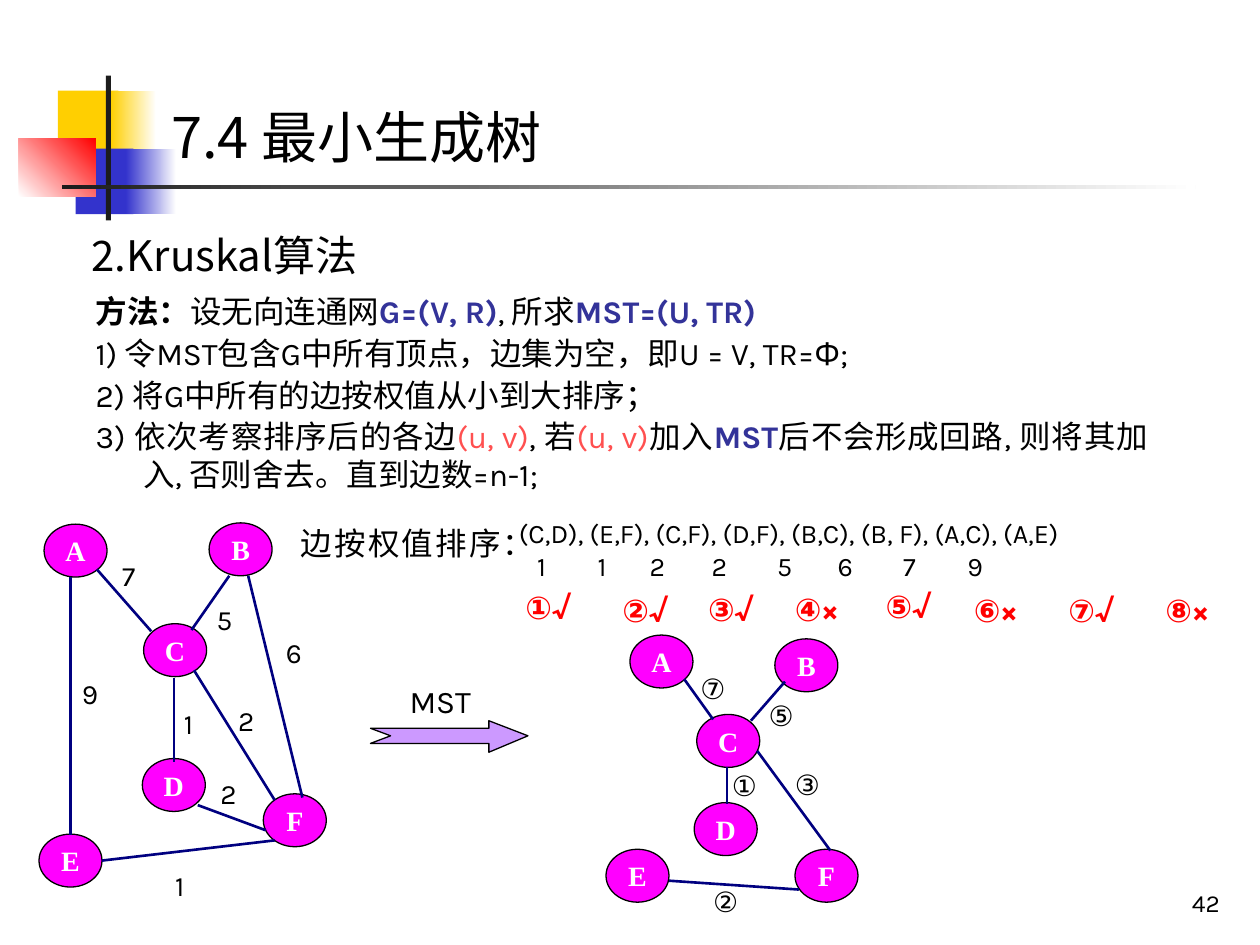
from dataclasses import dataclass
from typing import NamedTuple, Optional

import pptx
import pptx.dml.color
import pptx.enum.shapes
import pptx.enum.text
import pptx.oxml.ns
import pptx.util
from lxml import etree
from pptx.util import Inches

ALIGN = pptx.enum.text.PP_ALIGN
ANCHOR = pptx.enum.text.MSO_ANCHOR
SHAPE = pptx.enum.shapes.MSO_SHAPE
qn = pptx.oxml.ns.qn


@dataclass(frozen=True)
class Theme:
    black: str = "000000"
    white: str = "FFFFFF"
    yellow: str = "FFCF01"
    blue: str = "3333CC"
    red: str = "FF0000"
    dark: str = "1C1C1C"
    node: str = "FF00FF"
    edge: str = "000080"
    arrow: str = "CC99FF"
    strong: str = "333399"
    pair: str = "FF5050"
    latin: str = "Karla"
    chinese: str = "Noto Sans CJK SC"
    title_font: str = "Noto Sans CJK JP"
    node_font: str = "Times New Roman"
    title: float = 32
    heading: float = 24
    body: float = 18
    label: float = 16
    edge_list: float = 15.3
    page: float = 14


T = Theme()


class Run(NamedTuple):
    text: str
    color: str = T.black
    bold: bool = False


class Block(NamedTuple):
    x: float
    y: float
    w: float
    h: float
    start: str
    end: Optional[str] = None
    angle: float = 0


class Node(NamedTuple):
    name: str
    x: float
    y: float


class Edge(NamedTuple):
    x1: float
    y1: float
    x2: float
    y2: float
    label: str
    label_x: float
    label_y: float


BLOCKS = [
    Block(0.46, 0.72, 0.48, 0.52, T.yellow),
    Block(0.88, 0.72, 0.36, 0.52, T.yellow, T.white),
    Block(0.6, 1.18, 0.46, 0.52, T.blue),
    Block(1, 1.18, 0.4, 0.52, T.blue, T.white),
    Block(0.15, 1.1, 0.61, 0.46, T.white, T.red, 45),
    Block(0.84, 0.6, 0.04, 1.15, T.dark),
    Block(0.49, 1.47, 9, 0.03, T.dark, T.white),
]
METHOD = [
    [Run("方法：", bold=True), Run("设无向连通网"), Run("G=(V, R)", T.strong, True),
     Run(", 所求"), Run("MST=(U, TR)", T.strong, True)],
    [Run("1) 令MST包含G中所有顶点，边集为空，即U = V, TR=Φ;")],
    [Run("2) 将G中所有的边按权值从小到大排序；")],
    [Run("3) 依次考察排序后的各边"), Run("(u, v)", T.pair), Run(", 若"), Run("(u, v)", T.pair),
     Run("加入"), Run("MST", T.strong, True),
     Run("后不会形成回路, 则将其加入, 否则舍去。直到边数=n-1;")],
]
GRAPH_NODES = [Node("A", 0.35, 4.16), Node("B", 1.66, 4.15), Node("C", 1.14, 4.95),
               Node("D", 1.13, 6.02), Node("E", 0.31, 6.62), Node("F", 2.09, 6.3)]
GRAPH_EDGES = [
    Edge(0.56, 4.58, 0.56, 6.63, "9", 0.65, 5.37),
    Edge(1.52, 5, 1.82, 4.57, "5", 1.72, 4.78),
    Edge(0.77, 4.52, 1.2, 5.01, "7", 0.97, 4.43),
    Edge(1.38, 5.38, 1.38, 6.05, "1", 1.46, 5.61),
    Edge(1.97, 4.57, 2.4, 6.33, "6", 2.27, 5.04),
    Edge(1.54, 5.32, 2.18, 6.35, "2", 1.89, 5.58),
    Edge(1.57, 6.39, 2.11, 6.59, "2", 1.75, 6.16),
    Edge(0.81, 6.83, 2.18, 6.67, "1", 1.39, 6.89),
]
TREE_NODES = [Node("A", 5, 5.04), Node("B", 6.15, 5.07), Node("C", 5.53, 5.67),
              Node("D", 5.51, 6.37), Node("E", 4.81, 6.74), Node("F", 6.31, 6.74)]
TREE_EDGES = [
    Edge(5.77, 6.09, 5.77, 6.38, "①", 5.81, 6.1),
    Edge(5.31, 6.99, 6.34, 7.06, "②", 5.66, 7.02),
    Edge(6.01, 5.96, 6.59, 6.75, "③", 6.31, 6.09),
    Edge(5.96, 5.72, 6.23, 5.41, "⑤", 6.1, 5.54),
    Edge(5.43, 5.39, 5.66, 5.71, "⑦", 5.56, 5.33),
]
WEIGHTS = "11225679"
WEIGHT_TABS = [0.18, 0.66, 1.1, 1.59, 2.11, 2.59, 3.1, 3.62]
CHECKS = [("①√", 4.17, 4.67), ("②√", 4.94, 4.69), ("③√", 5.62, 4.68), ("④×", 6.31, 4.68),
          ("⑤√", 7.03, 4.66), ("⑥×", 7.73, 4.69), ("⑦√", 8.48, 4.69), ("⑧×", 9.25, 4.69)]
ARROW = [(2.94, 5.78), (3.88, 5.78), (3.88, 5.72), (4.19, 5.84),
         (3.88, 5.97), (3.88, 5.9), (2.94, 5.9), (3.1, 5.84)]


def rgb(color: str):
    return pptx.dml.color.RGBColor.from_string(color)


def add_runs(p, runs: list[Run], size: float, font: str = T.latin, ea: str = T.chinese) -> None:
    for run in runs:
        r = p.add_run()
        r.text = run.text
        r.font.size = pptx.util.Pt(size)
        r.font.name = font
        r.font.bold = run.bold
        r.font.color.rgb = rgb(run.color)
        etree.SubElement(r.font._element, qn("a:ea"), typeface=ea)


def place(sp, x: float, y: float, w: float, h: float) -> None:
    sp.left, sp.top, sp.width, sp.height = Inches(x), Inches(y), Inches(w), Inches(h)


def prepare_frame(tf, anchor=ANCHOR.TOP, inset: bool = True) -> None:
    tf.word_wrap = True
    tf.auto_size = pptx.enum.text.MSO_AUTO_SIZE.NONE
    tf.vertical_anchor = anchor
    tf.margin_left = tf.margin_right = Inches(0.1 if inset else 0)
    tf.margin_top = tf.margin_bottom = Inches(0.05 if inset else 0)


def add_text(slide, x: float, y: float, w: float, h: float, run: Run, size: float,
             anchor=ANCHOR.TOP, inset: bool = True):
    """Add a one-run text box and return its paragraph."""
    tf = slide.shapes.add_textbox(Inches(x), Inches(y), Inches(w), Inches(h)).text_frame
    prepare_frame(tf, anchor, inset)
    p = tf.paragraphs[0]
    add_runs(p, [run], size)
    return p


def add_label(slide, x: float, y: float, w: float, run: Run, size: float = T.label) -> None:
    add_text(slide, x, y, w, size / 60, run, size, ANCHOR.BOTTOM, False)


def hang(p) -> None:
    p.alignment = ALIGN.JUSTIFY
    pPr = p._p.get_or_add_pPr()
    pPr.set("marL", str(Inches(0.38)))
    pPr.set("indent", str(-Inches(0.38)))


def add_block(slide, block: Block) -> None:
    sp = slide.shapes.add_shape(SHAPE.RECTANGLE, 0, 0, 0, 0)
    place(sp, block.x, block.y, block.w, block.h)
    sp.shadow.inherit = False
    sp.line.fill.background()
    if block.end is None:
        sp.fill.solid()
        sp.fill.fore_color.rgb = rgb(block.start)
        return
    sp.fill.gradient()
    sp.fill.gradient_angle = block.angle
    for stop, color in zip(sp.fill.gradient_stops, (block.start, block.end)):
        stop.color.rgb = rgb(color)


def outline(sp, fill: str) -> None:
    sp.shadow.inherit = False
    sp.fill.solid()
    sp.fill.fore_color.rgb = rgb(fill)
    sp.line.color.rgb = rgb(T.black)
    sp.line.width = pptx.util.Pt(0.75)


def add_graph(slide, nodes: list[Node], edges: list[Edge], label_width: float) -> None:
    for node in nodes:
        sp = slide.shapes.add_shape(SHAPE.OVAL, 0, 0, 0, 0)
        place(sp, node.x, node.y, 0.5, 0.42)
        outline(sp, T.node)
        prepare_frame(sp.text_frame, ANCHOR.MIDDLE)
        sp.text_frame.word_wrap = False
        p = sp.text_frame.paragraphs[0]
        p.alignment = ALIGN.CENTER
        add_runs(p, [Run(node.name, T.white, True)], T.label, T.node_font)
    for edge in edges:
        line = slide.shapes.add_connector(
            pptx.enum.shapes.MSO_CONNECTOR.STRAIGHT, *(Inches(v) for v in edge[:4]))
        line.line.color.rgb = rgb(T.edge)
        line.line.width = pptx.util.Pt(1.5)
        etree.SubElement(line._element.spPr, qn("a:effectLst"))
        add_label(slide, edge.label_x, edge.label_y, label_width, Run(edge.label))


def add_method(body) -> None:
    place(body, 0.66, 2.27, 8.55, 1.84)
    tf = body.text_frame
    prepare_frame(tf)
    for i, runs in enumerate(METHOD):
        p = tf.add_paragraph() if i else tf.paragraphs[0]
        hang(p)
        etree.SubElement(p._p.get_or_add_pPr(), qn("a:buNone"))
        p.line_spacing = 1.0
        p.space_before = pptx.util.Pt(2.2 if i else 0)
        add_runs(p, runs, T.body)


def add_sorted_edges(slide) -> None:
    p = add_text(slide, 2.29, 4.05, 1.8, 0.54, Run("边按权值排序："), T.body)
    hang(p)
    p.line_spacing = 1.2
    pairs = Run("(C,D), (E,F), (C,F), (D,F), (B,C), (B, F), (A,C), (A,E)")
    add_text(slide, 4.02, 4.05, 5.98, 0.35, pairs, T.edge_list)
    p = add_text(slide, 4.02, 4.31, 5.98, 0.35,
                 Run("".join("\t" + w for w in WEIGHTS)), T.edge_list)
    tabs = etree.SubElement(p._p.get_or_add_pPr(), qn("a:tabLst"))
    for pos in WEIGHT_TABS:
        etree.SubElement(tabs, qn("a:tab"), pos=str(Inches(pos)), algn="ctr")
    for text, x, y in CHECKS:
        add_label(slide, x, y, 0.53, Run(text, T.red, True), T.body)


def add_mst_arrow(slide) -> None:
    points = [(Inches(x), Inches(y)) for x, y in ARROW]
    builder = slide.shapes.build_freeform(*points[0])
    builder.add_line_segments(points[1:], close=True)
    outline(builder.convert_to_shape(), T.arrow)
    add_label(slide, 3.25, 5.41, 0.72, Run("MST"), T.body)


def main() -> None:
    prs = pptx.Presentation()
    prs.slide_width, prs.slide_height = Inches(10), Inches(7.5)
    slide = prs.slides.add_slide(prs.slide_layouts[1])
    title, body = slide.placeholders
    for block in BLOCKS:
        add_block(slide, block)
    place(title, 1.26, 0.76, 8.74, 0.64)
    prepare_frame(title.text_frame)
    p = title.text_frame.paragraphs[0]
    p.alignment = ALIGN.LEFT
    add_runs(p, [Run("7.4 最小生成树")], T.title, T.title_font, T.title_font)
    title.element.getparent().append(title.element)  # above the colour blocks
    p = add_text(slide, 0.63, 1.77, 7.4, 0.5, Run("2.Kruskal算法"), T.heading)
    p.runs[0].font.name = T.chinese
    add_method(body)
    add_sorted_edges(slide)
    add_graph(slide, GRAPH_NODES, GRAPH_EDGES, 0.14)
    add_mst_arrow(slide)
    add_graph(slide, TREE_NODES, TREE_EDGES, 0.33)
    p = add_text(slide, 7.7, 6.83, 2.08, 0.5, Run("42"), T.page, ANCHOR.BOTTOM)
    p.alignment = ALIGN.RIGHT
    prs.save("out.pptx")


if __name__ == "__main__":
    main()
